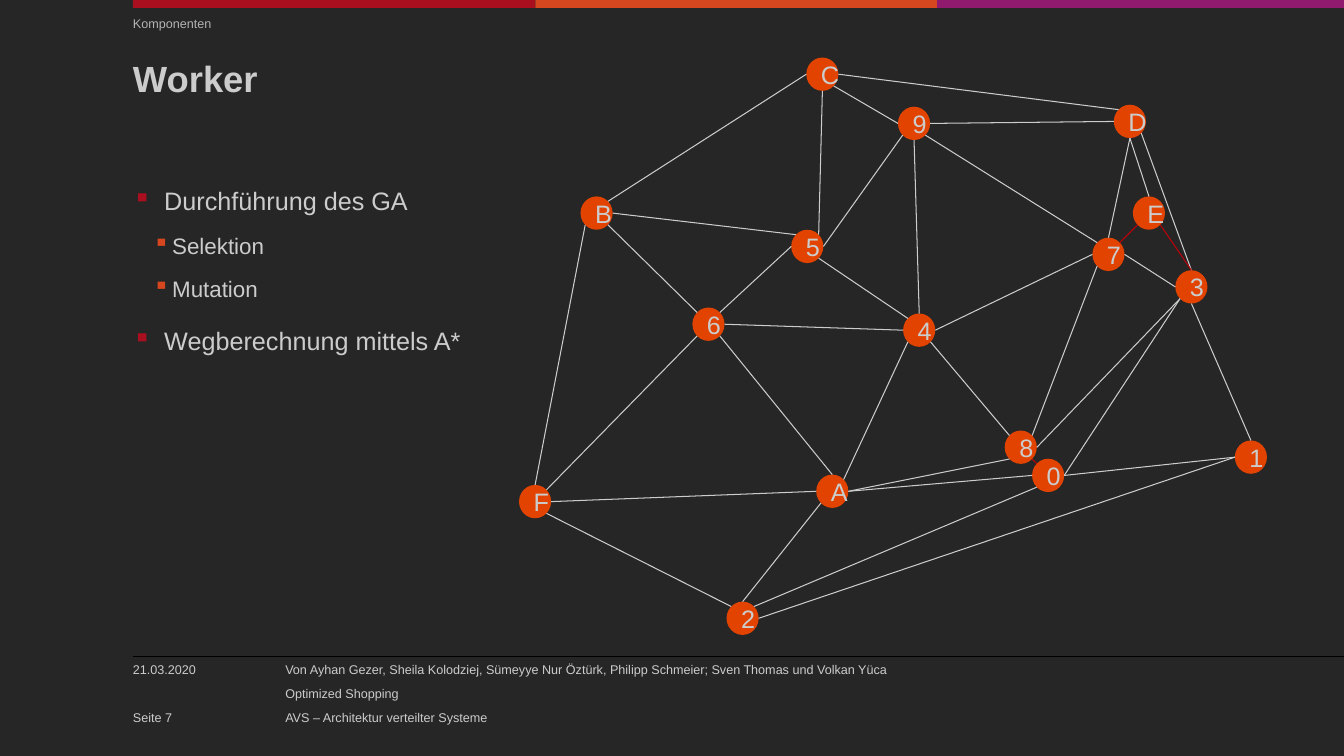
from dataclasses import dataclass
from math import cos, radians, sin

from lxml import etree
from pptx import Presentation
from pptx.dml.color import RGBColor
from pptx.enum.shapes import MSO_CONNECTOR, MSO_SHAPE
from pptx.enum.text import MSO_ANCHOR, PP_ALIGN
from pptx.oxml.ns import qn
from pptx.slide import Slide
from pptx.text.text import TextFrame
from pptx.util import Cm, Pt

RECT, OVAL = MSO_SHAPE.RECTANGLE, MSO_SHAPE.OVAL
STRAIGHT = MSO_CONNECTOR.STRAIGHT
TOP, MIDDLE, BOTTOM = MSO_ANCHOR.TOP, MSO_ANCHOR.MIDDLE, MSO_ANCHOR.BOTTOM
CENTER = PP_ALIGN.CENTER


@dataclass(frozen=True)
class Theme:
    font: str = "Arial"
    background: str = "262626"
    text: str = "CCCCCC"
    muted: str = "B3B3B3"
    rule: str = "000000"
    red: str = "AA0F1F"
    orange: str = "D7471F"
    purple: str = "901B6E"
    node: str = "E24300"
    route: str = "BC0009"
    title_size: int = 26
    body_size: int = 18
    sub_size: int = 16
    small_size: int = 9


@dataclass(frozen=True)
class Label:
    lines: tuple[str, ...]
    left: float
    top: float
    width: float
    height: float
    size: int
    color: str
    bold: bool = False
    wrap: bool = True
    anchor: MSO_ANCHOR = TOP
    space_after: int = 0


@dataclass(frozen=True)
class Level:
    margin: float
    hanging: float
    space_before: int
    size: int
    bullet: str


THEME = Theme()
SLIDE_W, SLIDE_H = 33.87, 19.05
LEFT = 3.35
FOOT_TOP = 16.69
NODE_W, NODE_H = 0.81, 0.84

BARS = ((LEFT, THEME.red), (13.49, THEME.orange), (23.62, THEME.purple))

LABELS = (
    Label(("Komponenten",), LEFT, 0.41, 29.97, 0.61, THEME.small_size, THEME.muted),
    Label(("Worker",), LEFT, 1.45, 30, 2.49, THEME.title_size, THEME.text, bold=True),
    Label(("21.03.2020",), LEFT, FOOT_TOP, 3.61, 0.51, THEME.small_size, THEME.text,
          wrap=False),
    Label(("Seite 7",), LEFT, 17.68, 3.61, 0.58, THEME.small_size, THEME.text,
          anchor=BOTTOM),
    Label(("Von Ayhan Gezer, Sheila Kolodziej, Sümeyye Nur Öztürk, "
           "Philipp Schmeier; Sven Thomas und Volkan Yüca",
           "Optimized Shopping",
           "AVS – Architektur verteilter Systeme"),
          7.19, FOOT_TOP, 15.54, 1.52, THEME.small_size, THEME.text,
          wrap=False, space_after=6),
)

LEVELS = (
    Level(0.79, 0.79, 6, THEME.body_size, THEME.red),
    Level(0.99, 0.48, 2, THEME.sub_size, THEME.orange),
)
BULLETS = (
    (0, "Durchführung des GA"),
    (1, "Selektion"),
    (1, "Mutation"),
    (0, "Wegberechnung mittels A*"),
)

# Left and top of each graph node
NODES = {
    "F": (13.08, 12.22), "2": (18.31, 15.16), "A": (20.57, 11.96), "8": (25.32, 10.85),
    "0": (26.01, 11.56), "1": (31.12, 11.1), "3": (29.62, 6.81), "7": (27.53, 5.99),
    "E": (28.55, 4.95), "D": (28.07, 2.64), "9": (22.63, 2.69), "C": (20.32, 1.45),
    "6": (17.45, 7.75), "4": (22.76, 7.9), "B": (14.63, 4.95), "5": (19.94, 5.79),
}

# Each edge end is a node name and a compass side of that node
SIDES = ("E", "SE", "S", "SW", "W", "NW", "N", "NE")
EDGES = """
F.N-B.SW C.W-B.NE F.NE-6.SW F.E-A.W F.SE-2.NW 2.E-1.W 2.N-A.SW 6.NW-B.SE D.NW-C.E
4.E-7.W 5.NE-C.S B.E-5.NW 6.NE-5.W A.N-6.SE 3.N-D.SE E.N-D.S 1.N-3.S 0.E-3.SW
8.E-3.SW 0.E-1.W 2.NE-0.SW A.E-0.W A.E-8.SW A.NE-4.SW 6.E-4.W 5.SE-4.NW 5.E-9.SW
9.W-C.SE D.W-9.E 7.NW-9.SE 4.N-9.S 8.NW-4.SE 8.NE-7.SW 3.W-7.E 7.N-D.S
"""
ROUTE = "8.SE-0.NW 3.N-E.SE 7.NE-E.SW"


def rgb(color: str) -> RGBColor:
    return RGBColor.from_string(color)


def style_text(tf: TextFrame, size: int, color: str, bold: bool = False) -> None:
    for p in tf.paragraphs:
        for r in p.runs:
            r.font.name = THEME.font
            r.font.size = Pt(size)
            r.font.bold = bold
            r.font.color.rgb = rgb(color)


def add_filled(s: Slide, kind: MSO_SHAPE, left: float, top: float,
               width: float, height: float, color: str) -> TextFrame:
    sp = s.shapes.add_shape(kind, Cm(left), Cm(top), Cm(width), Cm(height))
    sp.shadow.inherit = False
    sp.fill.solid()
    sp.fill.fore_color.rgb = rgb(color)
    sp.line.fill.background()
    return sp.text_frame


def add_line(s: Slide, start: tuple[float, float], end: tuple[float, float],
             color: str, width: float) -> None:
    line = s.shapes.add_connector(STRAIGHT, *map(Cm, start + end))
    line.line.color.rgb = rgb(color)
    line.line.width = Pt(width)
    etree.SubElement(line._element.spPr, qn("a:effectLst"))


def add_box(s: Slide, left: float, top: float, width: float, height: float) -> TextFrame:
    tf = s.shapes.add_textbox(Cm(left), Cm(top), Cm(width), Cm(height)).text_frame
    tf.margin_left = tf.margin_right = tf.margin_top = tf.margin_bottom = 0
    tf.word_wrap = True
    return tf


def add_label(s: Slide, label: Label) -> None:
    tf = add_box(s, label.left, label.top, label.width, label.height)
    tf.word_wrap = label.wrap
    tf.vertical_anchor = label.anchor
    tf.text = "\n".join(label.lines)
    for p in tf.paragraphs:
        p.space_after = Pt(label.space_after)
        if label.bold:
            p.line_spacing = Pt(30)
    style_text(tf, label.size, label.color, label.bold)


def add_bullets(s: Slide) -> None:
    tf = add_box(s, LEFT, 4.29, 16.94, 10.44)
    tf.text = "\n".join(text for _, text in BULLETS)
    style_text(tf, THEME.body_size, THEME.text)
    for p, (depth, _) in zip(tf.paragraphs, BULLETS):
        level = LEVELS[depth]
        p.level = depth
        p.line_spacing = 1.5
        p.space_before = Pt(level.space_before)
        p.runs[0].font.size = Pt(level.size)
        props = p._p.get_or_add_pPr()
        props.set("marL", str(Cm(level.margin)))
        props.set("indent", str(-Cm(level.hanging)))
        color = etree.SubElement(props, qn("a:buClr"))
        etree.SubElement(color, qn("a:srgbClr"), val=level.bullet)
        etree.SubElement(props, qn("a:buChar"), char="▪")


def edge_end(end: str) -> tuple[float, float]:
    name, side = end.split(".")
    left, top = NODES[name]
    angle = radians(45 * SIDES.index(side))
    return (left + NODE_W / 2 * (1 + cos(angle)), top + NODE_H / 2 * (1 + sin(angle)))


def add_graph(s: Slide) -> None:
    for name, (left, top) in NODES.items():
        tf = add_filled(s, OVAL, left, top, NODE_W, NODE_H, THEME.node)
        tf.text = name
        tf.vertical_anchor = MIDDLE
        tf.paragraphs[0].alignment = CENTER
        style_text(tf, THEME.body_size, THEME.text)
    for edges, color in ((EDGES, THEME.text), (ROUTE, THEME.route)):
        for edge in edges.split():
            start, end = edge.split("-")
            add_line(s, edge_end(start), edge_end(end), color, 0.75)


def main() -> None:
    prs = Presentation()
    prs.slide_width, prs.slide_height = Cm(SLIDE_W), Cm(SLIDE_H)
    s = prs.slides.add_slide(prs.slide_layouts[6])
    s.background.fill.solid()
    s.background.fill.fore_color.rgb = rgb(THEME.background)

    # Top colour bar and footer rule
    ends = [left for left, _ in BARS[1:]] + [SLIDE_W]
    for (left, color), end in zip(BARS, ends):
        add_filled(s, RECT, left, 0, end - left, 0.2, color)
    add_line(s, (LEFT, 16.54), (SLIDE_W, 16.54), THEME.rule, 0.5)

    # Text and graph
    for label in LABELS:
        add_label(s, label)
    add_bullets(s)
    add_graph(s)
    prs.save("out.pptx")


if __name__ == "__main__":
    main()
